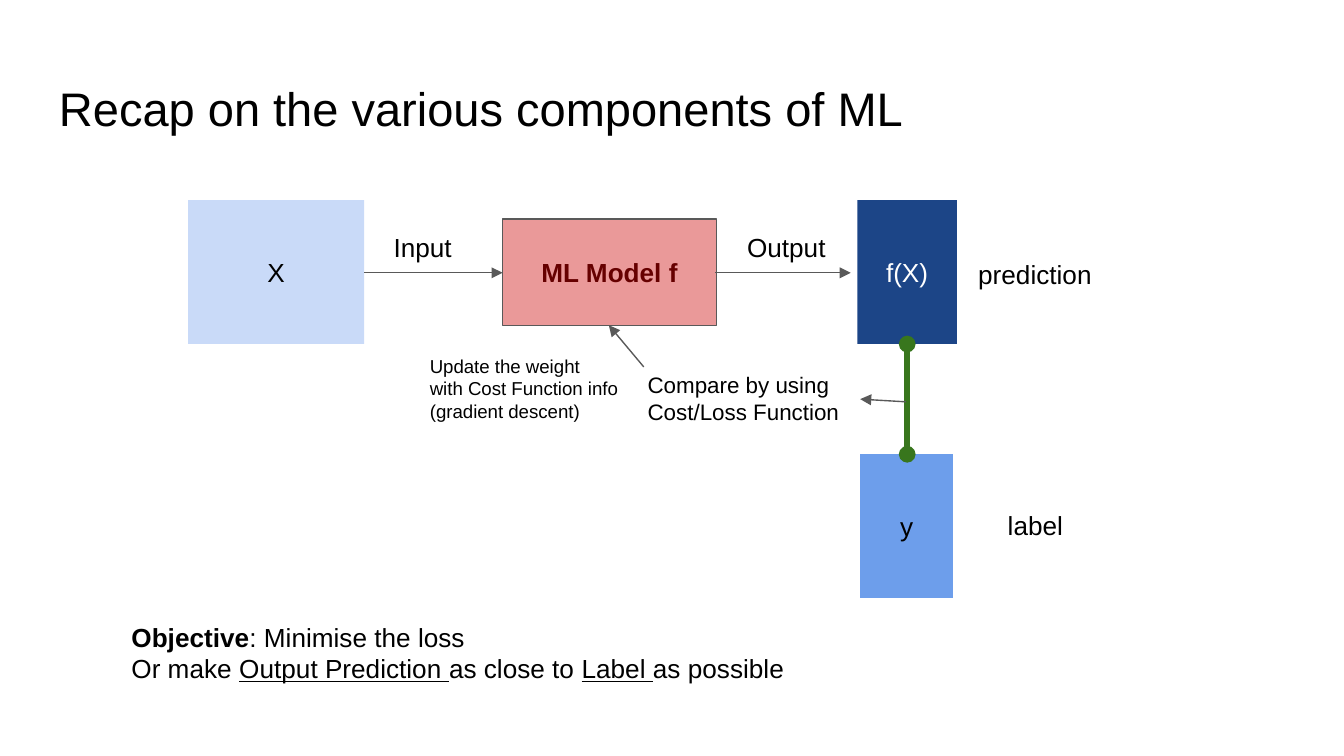
import pptx
import pptx.util
import pptx.dml.color
import pptx.enum.shapes
import pptx.enum.text
import lxml.etree
from pptx.util import Inches


def color(hex_value):
    return pptx.dml.color.RGBColor.from_string(hex_value)


def write(shape, lines, size, ink="000000", bold=None, align="LEFT", anchor="TOP"):
    frame = shape.text_frame
    frame.word_wrap = True
    frame.vertical_anchor = getattr(pptx.enum.text.MSO_ANCHOR, anchor)
    frame.margin_left = frame.margin_right = Inches(0.1)
    frame.margin_top = frame.margin_bottom = Inches(0.1)
    for index, pieces in enumerate(lines):
        paragraph = frame.add_paragraph() if index else frame.paragraphs[0]
        paragraph.alignment = getattr(pptx.enum.text.PP_ALIGN, align)
        for text, style in pieces:
            run = paragraph.add_run()
            run.text = text
            if style:
                setattr(run.font, style, True)
        paragraph.font.name = "Arial"
        paragraph.font.size = pptx.util.Pt(size)
        paragraph.font.color.rgb = color(ink)
        paragraph.font.bold = bold


deck = pptx.Presentation()
deck.slide_width = Inches(10)
deck.slide_height = Inches(10 * 9 / 16)
slide = deck.slides.add_slide(deck.slide_layouts[6])

blocks = [
    ("X", 1.4, 1.49, 1.31, 1.07, "C9DAF8", "000000", None, None),
    ("ML Model f", 3.74, 1.63, 1.59, 0.79, "EA9999", "660000", "595959", True),
    ("f(X)", 6.38, 1.49, 0.74, 1.07, "1C4587", "FFFFFF", None, None),
    ("y", 6.4, 3.38, 0.69, 1.07, "6D9EEB", "000000", None, None),
]
for text, left, top, width, height, fill, ink, border, bold in blocks:
    block = slide.shapes.add_shape(
        pptx.enum.shapes.MSO_SHAPE.RECTANGLE,
        Inches(left), Inches(top), Inches(width), Inches(height))
    block.shadow.inherit = False
    block.fill.solid()
    block.fill.fore_color.rgb = color(fill)
    if border:
        block.line.color.rgb = color(border)
        block.line.width = pptx.util.Pt(0.75)
    else:
        block.line.fill.background()
    write(block, [[(text, None)]], 14, ink, bold, "CENTER", "MIDDLE")

labels = [
    (["Recap on the various components of ML"], 0.34, 0.49, 9.32, 0.63, 25.2),
    (["Input"], 2.83, 1.62, 0.69, 0.53, 14),
    (["Output"], 5.46, 1.62, 1.05, 0.53, 14),
    (["prediction"], 7.18, 1.82, 1.17, 0.41, 14),
    (["label"], 7.4, 3.69, 0.8, 0.3, 14),
    (["Compare by using", "Cost/Loss Function"], 4.72, 2.66, 1.69, 0.63, 12),
    (["Update the weight", "with Cost Function info", "(gradient descent)"],
     3.1, 2.54, 1.63, 0.71, 10),
]
for lines, left, top, width, height, size in labels:
    label = slide.shapes.add_textbox(
        Inches(left), Inches(top), Inches(width), Inches(height))
    write(label, [[(line, None)] for line in lines], size)

objective = slide.shapes.add_textbox(
    Inches(0.88), Inches(4.52), Inches(5.36), Inches(0.53))
write(objective, [
    [("Objective", "bold"), (": Minimise the loss", None)],
    [("Or make ", None), ("Output Prediction ", "underline"),
     ("as close to ", None), ("Label ", "underline"), ("as possible", None)],
], 14)

links = [
    (2.71, 2.03, 3.74, 2.03, "595959", 0.75, {"tailEnd": "triangle"}),
    (5.32, 2.03, 6.33, 2.03, "595959", 0.75, {"tailEnd": "triangle"}),
    (6.75, 2.56, 6.75, 3.38, "38761D", 3, {"headEnd": "oval", "tailEnd": "oval"}),
    (4.79, 2.73, 4.53, 2.42, "595959", 0.75, {"tailEnd": "triangle"}),
    (6.74, 2.99, 6.4, 2.97, "595959", 0.75, {"tailEnd": "triangle"}),
]
for x1, y1, x2, y2, stroke, weight, ends in links:
    link = slide.shapes.add_connector(
        pptx.enum.shapes.MSO_CONNECTOR.STRAIGHT,
        Inches(x1), Inches(y1), Inches(x2), Inches(y2))
    link.line.color.rgb = color(stroke)
    link.line.width = pptx.util.Pt(weight)
    for end, kind in ends.items():
        lxml.etree.SubElement(
            link.line._get_or_add_ln(), pptx.oxml.ns.qn(f"a:{end}"), type=kind)
    lxml.etree.SubElement(link._element.spPr, pptx.oxml.ns.qn("a:effectLst"))

deck.save("out.pptx")
